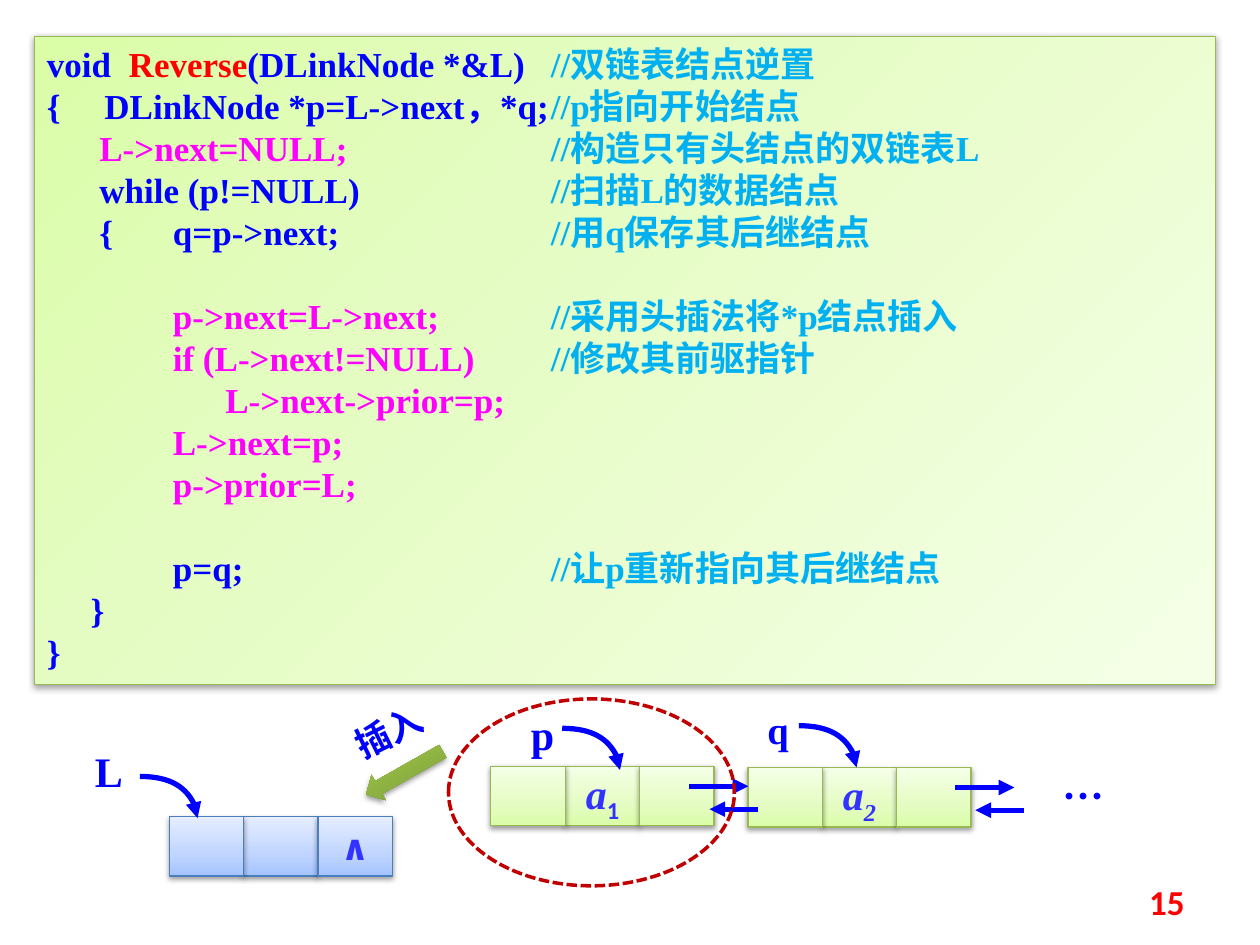
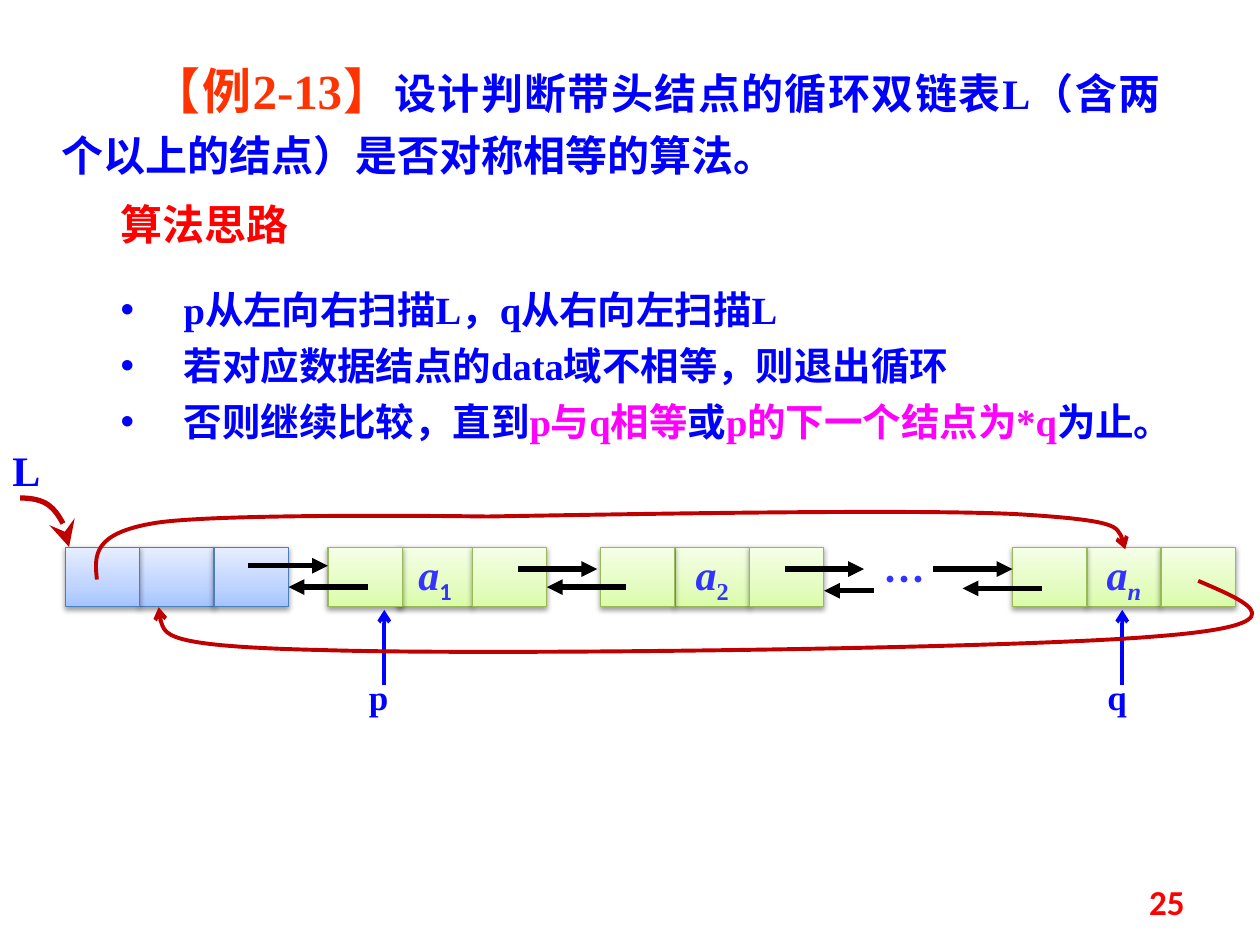
import lxml.etree
import pptx
import pptx.dml.color
import pptx.enum.dml
import pptx.enum.shapes
import pptx.enum.text
import pptx.oxml.ns
import pptx.util

Pt = pptx.util.Pt
RGB = pptx.dml.color.RGBColor.from_string
qn = pptx.oxml.ns.qn
SHAPE = pptx.enum.shapes.MSO_SHAPE
ALIGN = pptx.enum.text.PP_ALIGN
ANCHOR = pptx.enum.text.MSO_ANCHOR
sub_element = lxml.etree.SubElement


class Theme:
    serif, sans, cjk = "Times New Roman", "Calibri", "Noto Sans CJK SC"
    blue, red, magenta, sky = "0000FF", "FF0000", "FF00FF", "00B0F0"
    data, orange, crimson, black = "3333FF", "FF3300", "C00000", "000000"
    green_fill = (("DAFDA7", 0), ("E4FCC2", 35), ("F5FFE7", 100))
    blue_fill = (("A4C4FF", 0), ("BFD4FF", 35), ("E6EEFF", 100))
    arrow_fill = (("779737", 0), ("9BC348", 80), ("9DC746", 100))
    green_line, blue_line = "98B955", "4B7EBC"
    code, bullet, body, heading = 20, 22, 24, 28
    hairline, medium, thick = 0.75, 2.25, 3


def style(sp, line=None, width=Theme.hairline, tail=None, fill=None, angle=90):
    """Outline, arrowhead and gradient; filled shapes cast a soft shadow."""
    spPr = sp.element.spPr
    if fill:
        sp.fill.gradient()
        sp.fill.gradient_angle = angle
        stops = spPr.find(".//" + qn("a:gsLst"))
        for stop in list(stops):
            stops.remove(stop)
        for color, pos in fill:
            gs = sub_element(stops, qn("a:gs"), pos=str(pos * 1000))
            sub_element(gs, qn("a:srgbClr"), val=color)
    elif hasattr(sp, "fill"):
        sp.fill.background()
    if line:
        sp.line.color.rgb = RGB(line)
        sp.line.width = Pt(width)
    else:
        sp.line.fill.background()
    if tail:
        size = "lg" if tail == "stealth" else "med"
        sub_element(spPr.find(qn("a:ln")), qn("a:tailEnd"), type=tail, w=size, len=size)
    effects = sub_element(spPr, qn("a:effectLst"))
    if fill:
        shadow = sub_element(effects, qn("a:outerShdw"), blurRad=str(Pt(3.1)),
                             dist=str(Pt(1.6)), dir="5400000", rotWithShape="0")
        color = sub_element(shadow, qn("a:srgbClr"), val=Theme.black)
        sub_element(color, qn("a:alpha"), val="38000")


def write(sp, paras, size, color=Theme.blue, font=Theme.serif, align=ALIGN.LEFT,
          anchor=ANCHOR.TOP, wrap=True, inset=None, bullet=False, tabs=()):
    """Fill a shape with paragraphs, each a list of (text, run changes)."""
    tf = sp.text_frame
    tf.word_wrap, tf.vertical_anchor = wrap, anchor
    if inset is not None:
        tf.margin_left = tf.margin_right = tf.margin_top = tf.margin_bottom = Pt(inset)
    for i, runs in enumerate(paras):
        p = tf.add_paragraph() if i else tf.paragraphs[0]
        p.alignment = align
        pPr = p._p.get_or_add_pPr()
        if bullet:
            p.line_spacing = Pt(32)
            pPr.set("marL", str(Pt(36)))
            pPr.set("indent", str(-Pt(36)))
            sub_element(pPr, qn("a:buFont"), typeface="Arial")
            sub_element(pPr, qn("a:buChar"), char="•")
        if tabs:
            tab_list = sub_element(pPr, qn("a:tabLst"))
            for pos in tabs:
                sub_element(tab_list, qn("a:tab"), pos=str(Pt(pos)), algn="l")
        p.font.size, p.font.name, p.font.bold = Pt(size), font, True
        p.font.color.rgb = RGB(color)
        sub_element(pPr.find(qn("a:defRPr")), qn("a:ea"), typeface=Theme.cjk)
        for text, changes in runs:
            r = p.add_run()
            r.text = text
            for key, value in changes.items():
                if key == "color":
                    r.font.color.rgb = RGB(value)
                elif key == "baseline":
                    r._r.get_or_add_rPr().set("baseline", str(value * 1000))
                else:
                    setattr(r.font, key, value)


prs = pptx.Presentation()
prs.slide_width, prs.slide_height = Pt(720), Pt(540)
T = Theme
CELL_W, CELL_H = 42.5, 34

# Node diagrams. Nodes: left of first cell, left of data cell, top, kind, data, last cell
italic = {"italic": True}
a1 = [("a", italic), ("1", {"name": T.sans, "baseline": -25})]
a2_italic = [("a", italic), ("2", {"italic": True, "baseline": -25})]
a2 = [("a", italic), ("2", {"baseline": -25})]
an = [("a", italic), ("n", {"italic": True, "baseline": -25})]

insert_diagram = dict(
    number="15", inset=0, arrow_color=T.blue, arc_color=T.blue, arc_tail="triangle",
    nodes=[(96.7, 139.2, 466.6, "head", None, [("∧", {"name": T.sans, "size": Pt(T.code)})]),
           (280.5, 323.1, 437.8, "data", a1, None),
           (427.4, 469.9, 438.6, "data", a2_italic, None)],
    arrows=[(393.8, 427.7, 449.3), (433.4, 405.4, 462.4),
            (545.8, 579.6, 450), (585.4, 557.3, 463)],
    pointers=[],
    arcs=[(456.5, 414.7, 33, 23.8), (79.9, 443.7, 33, 23.8), (321.3, 416.2, 33, 23.8)],
    loops=[],
    labels=[("q", 421.9, 403.2, 45.4, 26.6, T.bullet, T.serif, T.blue, ALIGN.CENTER),
            ("L", 39.6, 426.2, 45.4, 28.8, T.body, T.serif, T.blue, ALIGN.CENTER),
            ("p", 287.3, 405, 45.4, 28.8, T.body, T.serif, T.blue, ALIGN.CENTER),
            ("…", 585.4, 440.6, 67.7, 28.8, T.body, T.cjk, T.blue, ALIGN.CENTER)])

ring_diagram = dict(
    number="25", inset=None, arrow_color=T.black, arc_color=T.crimson, arc_tail="stealth",
    nodes=[(37.4, 79.8, 312.7, "head", None, None),
           (187.4, 227.4, 312.7, "data", a1, None),
           (343.1, 385.7, 312.7, "data", a2, None),
           (578.6, 620.9, 312.7, "data", an, None)],
    arrows=[(141.8, 187.4, 323.3), (295.9, 341.3, 325.2), (448.3, 493.7, 325.2),
            (533.3, 578.6, 325.2), (210.2, 164.9, 335.5), (357.6, 312.5, 335.5),
            (499.2, 470.9, 337.6), (595.4, 550.1, 336.2)],
    pointers=[219.6, 641.3],
    arcs=[(11.5, 284.6, 28, 28)],
    loops=[[(55.4, 331.2), (54, 317.5), (52.6, 304.6), (89.3, 298.8),
            (126.7, 293), (278.6, 295.2), (278.6, 295.2),
            (360.7, 293.8), (519.8, 290.9), (580.3, 293.8),
            (641.5, 297.4), (642.2, 305.3), (643, 313.9)],
           [(684.7, 331.9), (715, 344.9), (744.5, 357.1), (661, 363.6),
            (577.4, 370.8), (280.1, 374.4), (185, 371.5),
            (90, 369.4), (90.7, 357.8), (90.7, 347)]],
    labels=[("…", 493.9, 312.5, 45.4, 36, T.body, T.cjk, T.data, ALIGN.CENTER),
            ("L", 0, 250.6, 33.8, 36, T.body, T.serif, T.blue, ALIGN.LEFT),
            ("p", 196.6, 382.3, 39.6, 31.7, T.code, T.serif, T.blue, ALIGN.CENTER),
            ("q", 618.5, 382.3, 39.6, 31.7, T.code, T.serif, T.blue, ALIGN.CENTER),
            ("算法思路", 61.9, 109.8, 146.2, 36, T.body, T.cjk, T.red, ALIGN.LEFT)])

for d in (insert_diagram, ring_diagram):
    s = prs.slides.add_slide(prs.slide_layouts[6])

    # Three cells a node; the first cell lies on top
    for first, data, top, kind, data_runs, last_runs in d["nodes"]:
        fill, line = ((T.blue_fill, T.blue_line) if kind == "head"
                      else (T.green_fill, T.green_line))
        for left, runs in ((data, data_runs), (data + CELL_W, last_runs), (first, None)):
            sp = s.shapes.add_shape(SHAPE.RECTANGLE, Pt(left), Pt(top), Pt(CELL_W), Pt(CELL_H))
            style(sp, line, fill=fill)
            if runs:
                write(sp, [runs], T.body, T.data, align=ALIGN.CENTER,
                      anchor=ANCHOR.MIDDLE, wrap=False)

    # Links between nodes, then pointers from below
    links = [(x1, y, x2, y, d["arrow_color"], T.thick, "triangle") for x1, x2, y in d["arrows"]]
    links += [(x, 391.5, x, 348.5, T.blue, T.medium, "arrow") for x in d["pointers"]]
    for x1, y1, x2, y2, color, width, tail in links:
        c = s.shapes.add_connector(pptx.enum.shapes.MSO_CONNECTOR.STRAIGHT,
                                   Pt(x1), Pt(y1), Pt(x2), Pt(y2))
        style(c, color, width, tail)

    # Quarter arcs and ring links, as cubic curves
    curves = [([(x, y), (x + 0.55 * w, y), (x + w, y + 0.45 * h), (x + w, y + h)],
               d["arc_color"], T.thick, d["arc_tail"]) for x, y, w, h in d["arcs"]]
    curves += [(points, T.crimson, T.medium, "arrow") for points in d["loops"]]
    for points, color, width, tail in curves:
        start, *rest = [(Pt(x), Pt(y)) for x, y in points]
        builder = s.shapes.build_freeform(*start)
        builder.add_line_segments(rest, close=False)
        sp = builder.convert_to_shape()
        path = sp.element.spPr.find(".//" + qn("a:path"))
        segments = path.findall(qn("a:lnTo"))
        for i in range(0, len(segments), 3):
            cubic = sub_element(path, qn("a:cubicBezTo"))
            for segment in segments[i:i + 3]:
                cubic.append(segment[0])
                path.remove(segment)
        style(sp, color, width, tail)

    # Labels
    for text, x, y, w, h, size, font, color, align in d["labels"]:
        sp = s.shapes.add_textbox(Pt(x), Pt(y), Pt(w), Pt(h))
        write(sp, [[(text, {})]], size, color, font, align, inset=d["inset"])

    # Page number
    sp = s.shapes.add_textbox(Pt(516), Pt(500.5), Pt(168), Pt(28.75))
    write(sp, [[(d["number"], {})]], T.code, T.red, T.sans, ALIGN.RIGHT, ANCHOR.MIDDLE)

# Slide 1: code listing
s = prs.slides[0]
key, note, name = {"color": T.magenta}, {"color": T.sky}, {"color": T.red}
code = [
    [("void  ", {}), ("Reverse", name), ("(DLinkNode *&L)\t", {}), ("//双链表结点逆置", note)],
    [("{     DLinkNode *p=L->next，*q;\t", {}), ("//p指向开始结点", note)],
    [("      L->next=NULL;\t", key), ("//构造只有头结点的双链表L", note)],
    [("      while (p!=NULL)\t", {}), ("//扫描L的数据结点", note)],
    [("      {\tq=p->next;\t", {}), ("//用q保存其后继结点", note)],
    [],
    [("\tp->next=L->next;\t", key), ("//采用头插法将*p结点插入", note)],
    [("\tif (L->next!=NULL)\t", key), ("//修改其前驱指针", note)],
    [("\t      L->next->prior=p;", key)],
    [("\tL->next=p;", key)],
    [("\tp->prior=L;", key)],
    [],
    [("\tp=q;\t", {}), ("//让p重新指向其后继结点", note)],
    [("     }", {})],
    [("}", {})],
]
sp = s.shapes.add_shape(SHAPE.RECTANGLE, Pt(19.7), Pt(20.7), Pt(675), Pt(370.6))
style(sp, T.green_line, fill=T.green_fill, angle=315)
write(sp, code, T.code, tabs=(72, 288, 360))

# Slide 1: node to insert, ringed
sp = s.shapes.add_shape(SHAPE.OVAL, Pt(256.3), Pt(399.4), Pt(163.4), Pt(106.8))
style(sp, T.crimson, 2)
sp.line.dash_style = pptx.enum.dml.MSO_LINE.SQUARE_DOT
sp = s.shapes.add_shape(SHAPE.LEFT_ARROW, Pt(205.9), Pt(433.4), Pt(50.4), Pt(16.6))
style(sp, fill=T.arrow_fill)
sp.rotation = 330.5
sp = s.shapes.add_textbox(Pt(185.5), Pt(402.5), Pt(73.4), Pt(31.7))
write(sp, [[("插入", {})]], T.code, font=T.cjk, align=ALIGN.CENTER)
sp.rotation = 333.6

# Slide 2: exercise
s = prs.slides[1]
sp = s.shapes.add_textbox(Pt(28.1), Pt(24.5), Pt(642.2), Pt(82.8))
write(sp, [[("【例2-13】", {"color": T.orange, "size": Pt(T.heading)}),
            ("设计判断带头结点的循环双链表L（含两个以上的结点）是否对称相等的算法。", {})]],
      T.body, align=ALIGN.JUSTIFY)
p = sp.text_frame.paragraphs[0]
p.line_spacing = 1.2
p._p.get_or_add_pPr().set("indent", str(Pt(51.5)))

# Slide 2: idea of the algorithm
sp = s.shapes.add_textbox(Pt(61.9), Pt(154.4), Pt(630), Pt(104.4))
write(sp, [[("p从左向右扫描L，q从右向左扫描L", {})],
           [("若对应数据结点的data域不相等，则退出循环", {})],
           [("否则继续比较，直到", {}), ("p与q相等", key), ("或", {}),
            ("p的下一个结点为*q", key), ("为止。", {})]],
      T.bullet, bullet=True)

prs.save("out.pptx")
